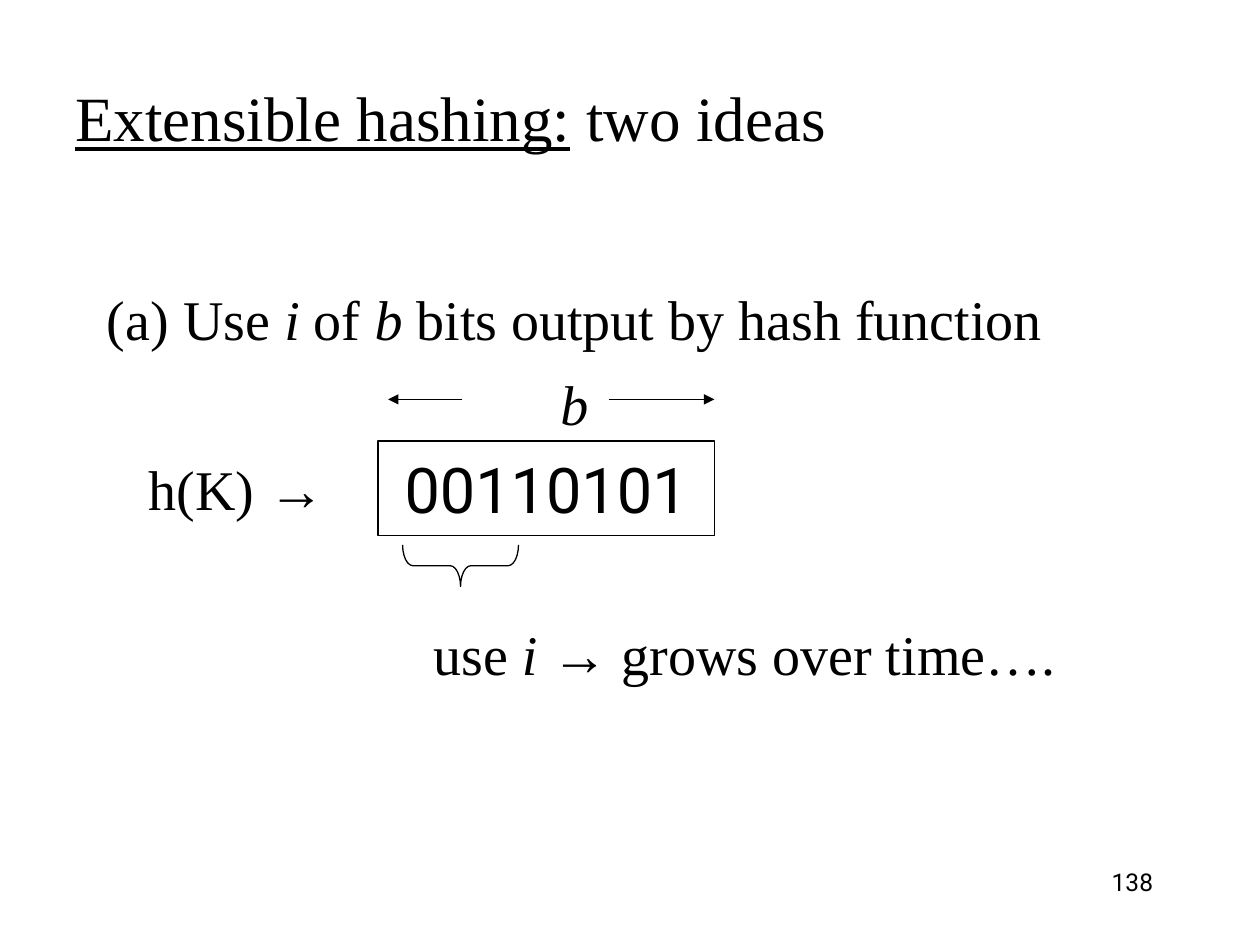
import pptx
import pptx.dml.color
import pptx.enum.shapes
import pptx.enum.text
import pptx.oxml
import pptx.oxml.ns
import pptx.util
from dataclasses import dataclass

Inches = pptx.util.Inches
Pt = pptx.util.Pt
Shape = pptx.enum.shapes.MSO_SHAPE
Align = pptx.enum.text.PP_ALIGN
Anchor = pptx.enum.text.MSO_ANCHOR


@dataclass(frozen=True)
class Theme:
    ink: pptx.dml.color.RGBColor = pptx.dml.color.RGBColor(0, 0, 0)
    paper: pptx.dml.color.RGBColor = pptx.dml.color.RGBColor(255, 255, 255)
    serif: str = "Times New Roman"
    sans: str = "Roboto"
    arrow: str = "Arial"
    head: int = 36
    body: int = 32
    small: int = 14
    line: float = 0.75


def assign(item, values):
    for name, value in values.items():
        setattr(item, name, value)


class Page:
    def __init__(self, slide, theme):
        self.slide = slide
        self.theme = theme

    def fill(self, frame, rows, font, anchor=Anchor.TOP, wrap=True):
        """Fill a frame; each row is (runs, paragraph format, left indent)."""
        assign(frame, {"word_wrap": wrap, "vertical_anchor": anchor})
        base = {"name": self.theme.serif, **font}
        for n, (runs, form, indent) in enumerate(rows):
            para = frame.add_paragraph() if n else frame.paragraphs[0]
            assign(para, form)
            if indent:
                para._p.get_or_add_pPr().set("marL", str(Inches(indent)))
            for text, extra in runs:
                run = para.add_run()
                run.text = text
                assign(run.font, {**base, **extra})
                run.font.color.rgb = self.theme.ink

    def text(self, box, rows, font, anchor=Anchor.TOP):
        shape = self.slide.shapes.add_textbox(*map(Inches, box))
        self.fill(shape.text_frame, rows, font, anchor)

    def stroke(self, item):
        item.line.color.rgb = self.theme.ink
        item.line.width = Pt(self.theme.line)

    def shape(self, kind, box):
        shape = self.slide.shapes.add_shape(kind, *map(Inches, box))
        shape.shadow.inherit = False
        self.stroke(shape)
        return shape

    def block(self, box, rows, font):
        shape = self.shape(Shape.RECTANGLE, box)
        shape.fill.solid()
        shape.fill.fore_color.rgb = self.theme.paper
        self.fill(shape.text_frame, rows, font, Anchor.MIDDLE, False)

    def brace(self, box):
        """Draw a brace that points down; box is its size before the turn."""
        shape = self.shape(Shape.RIGHT_BRACE, box)
        shape.fill.background()
        shape.adjustments[0] = 0.25
        shape.rotation = 90

    def arrow(self, start, end, y):
        kind = pptx.enum.shapes.MSO_CONNECTOR.STRAIGHT
        line = self.slide.shapes.add_connector(
            kind, *map(Inches, (start, y, end, y)))
        self.stroke(line)
        tip = pptx.oxml.parse_xml(
            f'<a:tailEnd {pptx.oxml.ns.nsdecls("a")} type="triangle"/>')
        line.line._get_or_add_ln().append(tip)
        line._element.spPr.append(pptx.oxml.parse_xml(
            f'<a:effectLst {pptx.oxml.ns.nsdecls("a")}/>'))


def main():
    theme = Theme()
    deck = pptx.Presentation()
    assign(deck, {"slide_width": Inches(10), "slide_height": Inches(7.5)})
    page = Page(deck.slides.add_slide(deck.slide_layouts[6]), theme)

    head = {"size": Pt(theme.head)}
    body = {"size": Pt(theme.body)}
    small = {"size": Pt(theme.small), "name": theme.sans}
    slant = {"italic": True}
    sign = ("→", {"name": theme.arrow})
    gap = {"space_before": Pt(10)}

    page.text((7.17, 6.83, 2.08, 0.5),
              [([("138", {})], {"alignment": Align.RIGHT}, 0)], small)
    page.text((0.5, 0.3, 9, 1.25),
              [([("Extensible hashing:", {"underline": True}),
                 (" two ideas", {})], {}, 0)], head, Anchor.MIDDLE)
    page.text((0.75, 2.21, 8.67, 4.5), [
        ([("(a) Use ", {}), ("i", slant), (" of ", {}), ("b", slant),
          (" bits output by hash function", {})], {}, 0),
        ([("b", slant)], gap, 3.6),
        ([("h(K) ", {}), sign], gap, 0.33),
        ([("use ", {}), ("i ", slant), sign, (" grows over time….", {})],
         {"space_before": Pt(56)}, 2.59),
    ], body)

    page.block((3, 3.5, 2.67, 0.75),
               [([("00110101", {"name": theme.sans})],
                 {"alignment": Align.CENTER}, 0)], head)
    for start, end in ((3.67, 3.08), (4.83, 5.67)):
        page.arrow(start, end, 3.17)
    page.brace((3.49, 4.03, 0.33, 0.92))
    deck.save("out.pptx")


if __name__ == "__main__":
    main()
